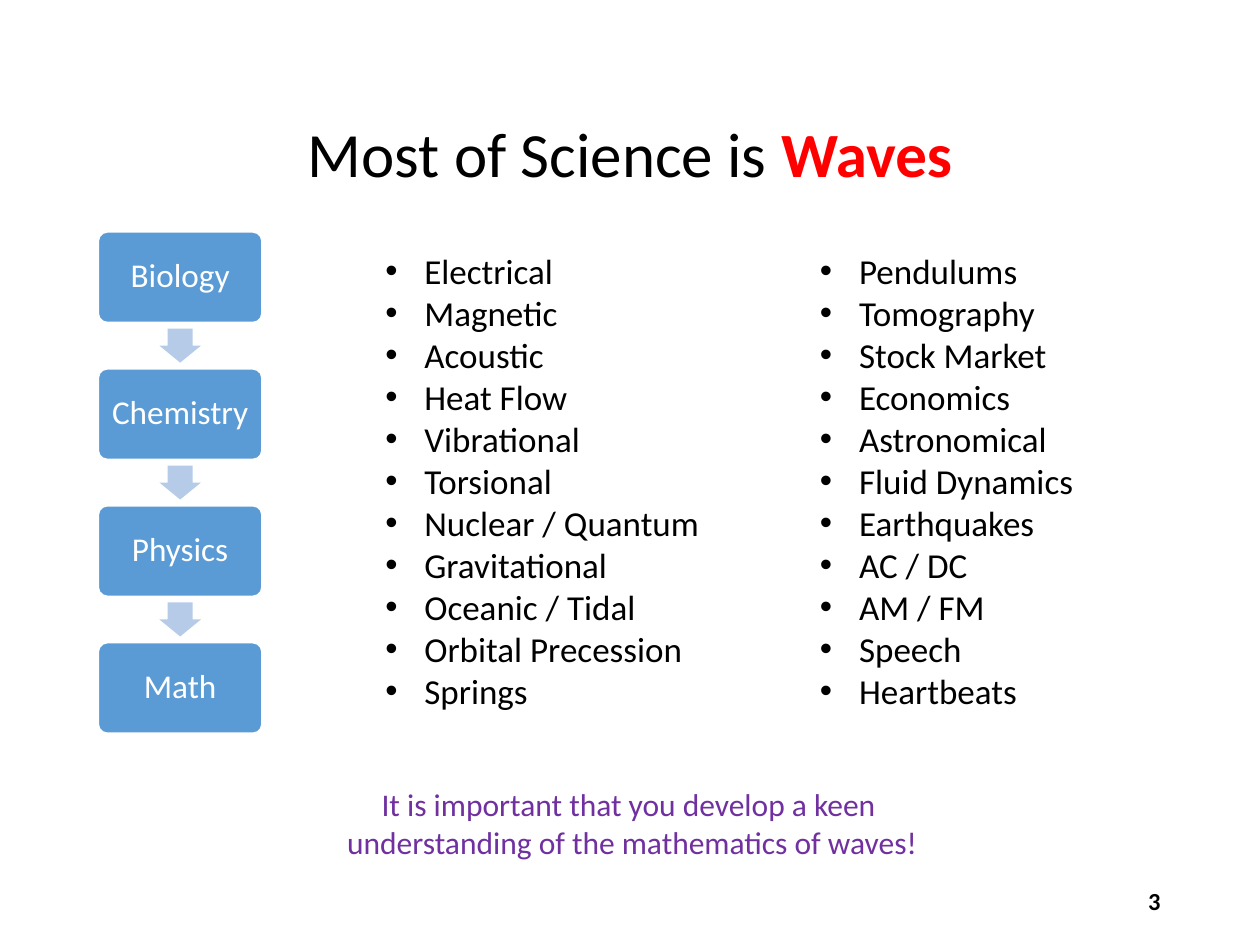
"""Build the slide about waves across the sciences."""
import pptx
import pptx.dml.color
import pptx.enum.shapes
import pptx.enum.text
import pptx.oxml
import pptx.oxml.ns
import pptx.util
from pptx.util import Inches

RGBColor = pptx.dml.color.RGBColor
Align = pptx.enum.text.PP_ALIGN
Anchor = pptx.enum.text.MSO_ANCHOR
Shape = pptx.enum.shapes.MSO_SHAPE

BLACK = RGBColor(0x00, 0x00, 0x00)
WHITE = RGBColor(0xFF, 0xFF, 0xFF)
RED = RGBColor(0xFF, 0x00, 0x00)
PURPLE = RGBColor(0x70, 0x30, 0xA0)
BLUE = RGBColor(0x5B, 0x9B, 0xD5)
PALE_BLUE = RGBColor(0xB5, 0xCB, 0xE7)

SCIENCES = ["Biology", "Chemistry", "Physics", "Math"]
PHYSICAL_WAVES = [
    "Electrical", "Magnetic", "Acoustic", "Heat Flow", "Vibrational", "Torsional",
    "Nuclear / Quantum", "Gravitational", "Oceanic / Tidal", "Orbital Precession", "Springs",
]
OTHER_WAVES = [
    "Pendulums", "Tomography", "Stock Market", "Economics", "Astronomical", "Fluid Dynamics",
    "Earthquakes", "AC / DC", "AM / FM", "Speech", "Heartbeats",
]


class SlideBuilder:
    def __init__(self, slide, font="Calibri"):
        self.slide = slide
        self.font = font

    def format_span(self, span, size, color, bold=False):
        span.font.name = self.font
        span.font.size = pptx.util.Pt(size)
        span.font.color.rgb = color
        span.font.bold = bold

    def format_text(self, frame, size, color, align, bold=False):
        frame.word_wrap = True
        for para in frame.paragraphs:
            para.alignment = align
            for span in para.runs:
                self.format_span(span, size, color, bold)

    def title(self, left, top, width, height, plain, accent):
        title = self.slide.shapes.title
        title.left, title.top = Inches(left), Inches(top)
        title.width, title.height = Inches(width), Inches(height)
        frame = title.text_frame
        frame.text = plain
        frame.vertical_anchor = Anchor.TOP
        frame.auto_size = pptx.enum.text.MSO_AUTO_SIZE.NONE
        self.format_text(frame, 36, BLACK, Align.CENTER)
        span = frame.paragraphs[0].add_run()
        span.text = accent
        self.format_span(span, 36, RED, bold=True)

    def text(self, left, top, width, height, lines, size, color=BLACK,
             align=Align.LEFT, anchor=Anchor.TOP, bold=False):
        box = self.slide.shapes.add_textbox(
            Inches(left), Inches(top), Inches(width), Inches(height))
        frame = box.text_frame
        frame.text = "\n".join(lines)
        frame.vertical_anchor = anchor
        self.format_text(frame, size, color, align, bold)
        return frame

    def bullets(self, left, top, width, height, lines):
        frame = self.text(left, top, width, height, lines, 20)
        for para in frame.paragraphs:
            properties = para._p.get_or_add_pPr()
            properties.set("marL", str(Inches(0.31)))
            properties.set("indent", str(-Inches(0.31)))
            for tag, name, value in (("a:buFont", "typeface", "Arial"), ("a:buChar", "char", "•")):
                bullet = pptx.oxml.parse_xml(f"<{tag} {pptx.oxml.ns.nsdecls('a')}/>")
                bullet.set(name, value)
                properties.append(bullet)

    def shape(self, kind, left, top, width, height, fill, adjustments):
        shape = self.slide.shapes.add_shape(
            kind, Inches(left), Inches(top), Inches(width), Inches(height))
        shape.shadow.inherit = False
        shape.fill.solid()
        shape.fill.fore_color.rgb = fill
        shape.line.fill.background()
        for index, value in enumerate(adjustments):
            shape.adjustments[index] = value
        return shape

    def step(self, left, top, width, height, label):
        box = self.shape(Shape.ROUNDED_RECTANGLE, left, top, width, height, BLUE, [0.1])
        box.line.color.rgb = WHITE
        box.line.width = pptx.util.Pt(1)
        frame = box.text_frame
        frame.margin_left = frame.margin_right = Inches(0.04)
        frame.text = label
        frame.vertical_anchor = Anchor.MIDDLE
        self.format_text(frame, 19, WHITE, Align.CENTER)
        frame.paragraphs[0].line_spacing = 0.9

    def down_arrow(self, center_x, center_y, length, breadth):
        arrow = self.shape(Shape.RIGHT_ARROW, center_x - length / 2, center_y - breadth / 2,
                           length, breadth, PALE_BLUE, [0.6, 0.5])
        arrow.rotation = 90

    def flow(self, left, top, width, height, pitch, labels):
        for index, label in enumerate(labels):
            step_top = top + index * pitch
            if index:
                self.down_arrow(left + width / 2, step_top - (pitch - height) / 2, 0.27, 0.33)
            self.step(left, step_top, width, height, label)


def main():
    deck = pptx.Presentation()
    deck.slide_width, deck.slide_height = Inches(10), Inches(7.5)
    page = SlideBuilder(deck.slides.add_slide(deck.slide_layouts[5]))
    page.text(7.06, 6.95, 2.25, 0.4, ["3"], 14, align=Align.RIGHT,
              anchor=Anchor.MIDDLE, bold=True)
    page.title(2.12, 0.86, 5.76, 0.71, "Most of Science is ", "Waves")
    page.bullets(2.96, 1.93, 3.13, 3.8, PHYSICAL_WAVES)
    page.bullets(6.41, 1.93, 2.47, 3.8, OTHER_WAVES)
    page.text(1.43, 6.18, 7.12, 0.71,
              ["It is important that you develop a keen",
               " understanding of the mathematics of waves!"],
              18, PURPLE, Align.CENTER)
    page.flow(0.78, 1.84, 1.3, 0.72, 3.26 / 3, SCIENCES)
    deck.save("out.pptx")


if __name__ == "__main__":
    main()
